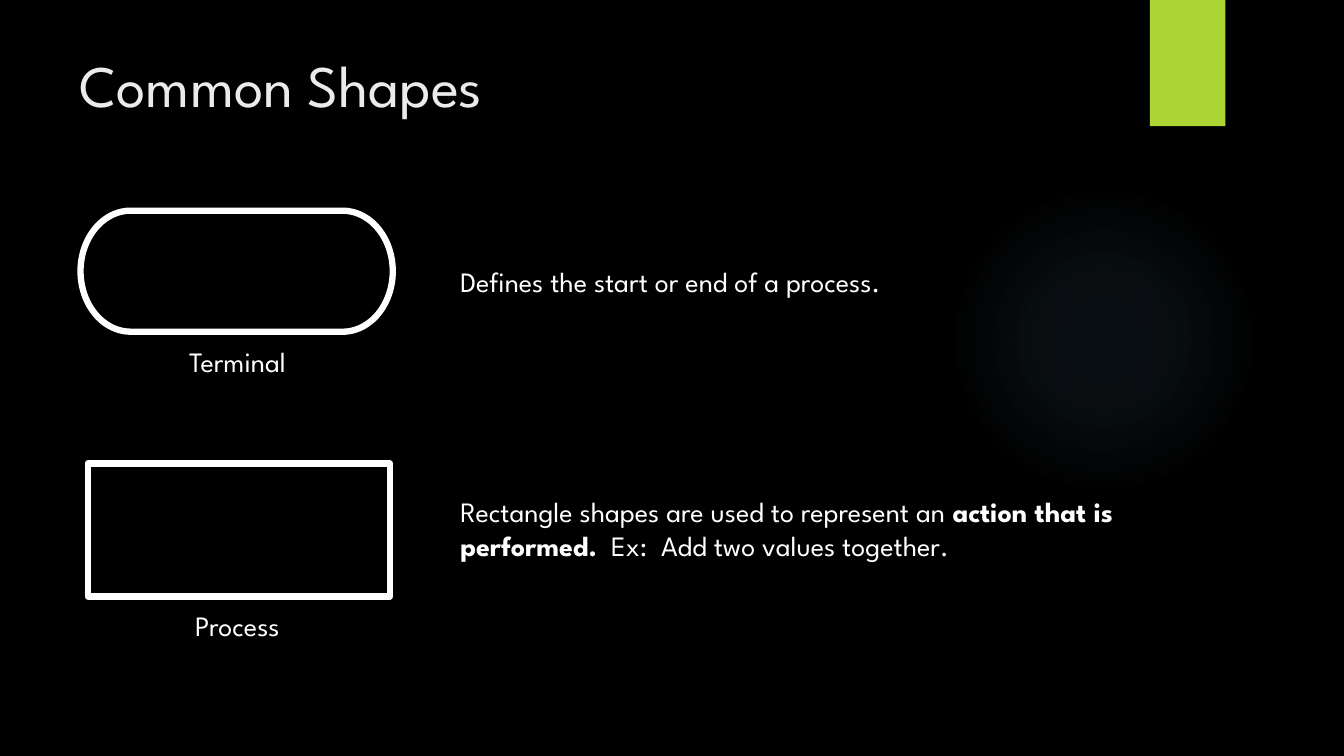
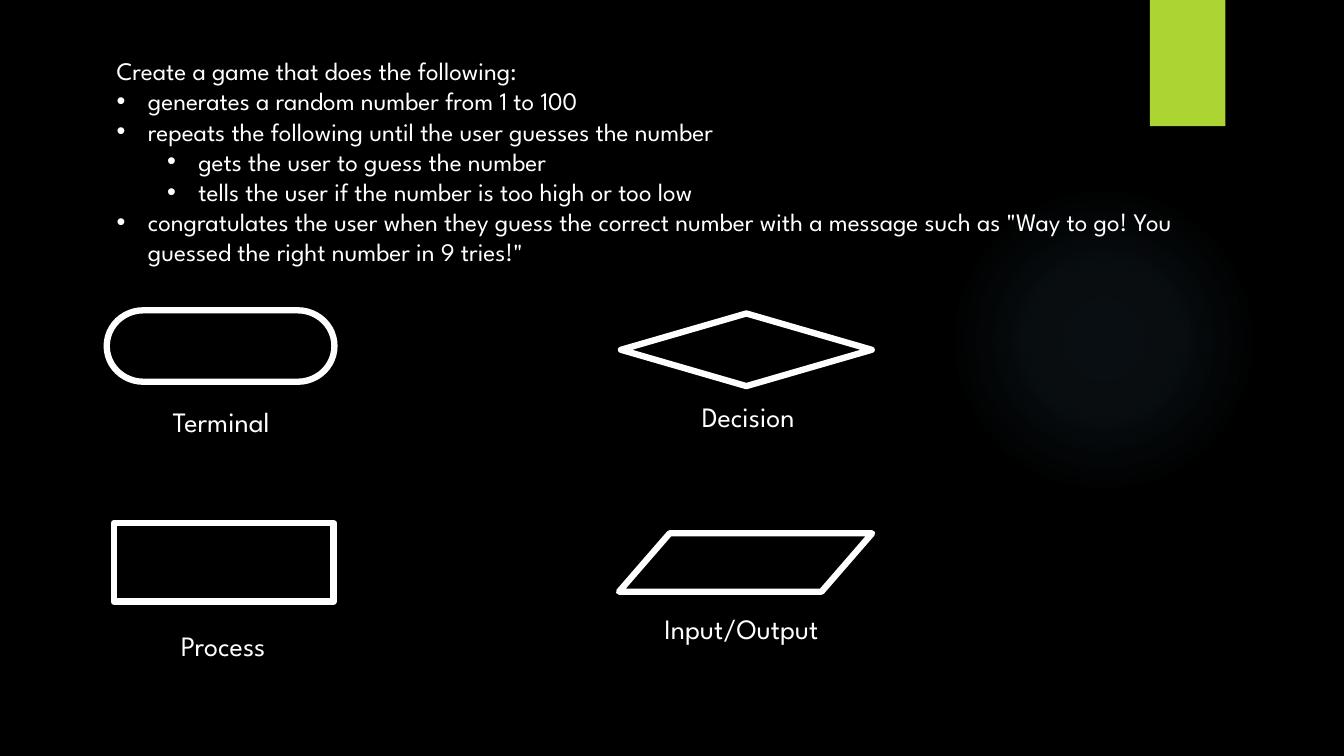
import dataclasses

import lxml.etree
import pptx
import pptx.dml.color
import pptx.enum.shapes
import pptx.enum.text
import pptx.oxml
import pptx.oxml.ns
import pptx.util

Cm = pptx.util.Cm
Pt = pptx.util.Pt
RGB = pptx.dml.color.RGBColor
SHAPE = pptx.enum.shapes.MSO_SHAPE
ALIGN = pptx.enum.text.PP_ALIGN


@dataclasses.dataclass(frozen=True)
class Theme:
    font: str = "League Spartan"
    background: RGB = RGB(0x00, 0x00, 0x00)
    title: RGB = RGB(0xEB, 0xEB, 0xEB)
    text: RGB = RGB(0xFF, 0xFF, 0xFF)
    accent: RGB = RGB(0xAC, 0xD4, 0x33)
    glow: RGB = RGB(0x7A, 0xC4, 0xF0)
    title_size: Pt = Pt(42)
    body_size: Pt = Pt(20)
    task_size: Pt = Pt(18)
    outline: Pt = Pt(4.5)
    space_before: Pt = Pt(10)


theme = Theme()


def add_run(paragraph, text, size, color=theme.text, bold=False):
    run = paragraph.add_run()
    run.text = text
    run.font.name = theme.font
    run.font.size = size
    run.font.color.rgb = color
    run.font.bold = bold


def add_text_frame(slide, box):
    """Add a wrapping text box at box (left, top, width, height in cm)."""
    frame = slide.shapes.add_textbox(*map(Cm, box)).text_frame
    frame.word_wrap = True
    return frame


deck = pptx.Presentation()
deck.slide_width, deck.slide_height = Cm(33.87), Cm(19.05)
title_only, blank = deck.slide_layouts[5], deck.slide_layouts[6]
shapes_slide = deck.slides.add_slide(title_only)
task_slide = deck.slides.add_slide(blank)

# Shared background, glow and tab, moved to the master behind everything else
master = deck.slide_master
master.background.fill.solid()
master.background.fill.fore_color.rgb = theme.background

glow = shapes_slide.shapes.add_shape(
    SHAPE.OVAL, Cm(23.9), Cm(4.65), Cm(7.82), Cm(7.82))
tab = shapes_slide.shapes.add_shape(
    SHAPE.RECTANGLE, Cm(28.98), Cm(0), Cm(1.9), Cm(3.18))
tab.fill.solid()
tab.fill.fore_color.rgb = theme.accent

stops = "".join(
    f'<a:gs pos="{position * 1000}"><a:srgbClr val="{theme.glow}">'
    f'<a:alpha val="{opacity * 1000}"/></a:srgbClr></a:gs>'
    for position, opacity in [(0, 7), (36, 6), (69, 0)])
gradient = pptx.oxml.parse_xml(
    f'<a:gradFill {pptx.oxml.ns.nsdecls("a")} rotWithShape="1">'
    f'<a:gsLst>{stops}</a:gsLst><a:path path="circle">'
    '<a:fillToRect l="50000" t="50000" r="50000" b="50000"/></a:path></a:gradFill>')
glow.element.spPr.find(pptx.oxml.ns.qn("a:prstGeom")).addnext(gradient)

for index, decoration in enumerate([glow, tab]):
    decoration.line.fill.background()
    decoration.shadow.inherit = False
    master.shapes.element.insert(2 + index, decoration.element)

# Title
title = shapes_slide.shapes.title
title.left, title.top, title.width, title.height = map(Cm, (1.75, 1.09, 26.14, 3.89))
title.text_frame.auto_size = pptx.enum.text.MSO_AUTO_SIZE.NONE
title.text_frame.vertical_anchor = pptx.enum.text.MSO_ANCHOR.TOP
heading = title.text_frame.paragraphs[0]
heading.alignment = ALIGN.LEFT
add_run(heading, "Common Shapes", theme.title_size, theme.title)

# Descriptions of the common shapes: top, then runs of text and weight
descriptions = [
    (6.53, [("Defines the start or end of a process.", False)]),
    (12.34, [("Rectangle shapes are used to represent an ", False),
             ("action that is performed.", True),
             ("  Ex:  Add two values together.", False)]),
]
for top, parts in descriptions:
    description = add_text_frame(shapes_slide, (11.35, top, 20.17, 3.61)).paragraphs[0]
    description.space_before = theme.space_before
    for text, bold in parts:
        add_run(description, text, theme.body_size, bold=bold)

# Task: text and bullet level, None for the introduction
task = [
    ("Create a game that does the following:", None),
    ("generates a random number from 1 to 100", 0),
    ("repeats the following until the user guesses the number", 0),
    ("gets the user to guess the number", 1),
    ("tells the user if the number is too high or too low", 1),
    ("congratulates the user when they guess the correct number with a message "
     'such as "Way to go! You guessed the right number in 9 tries!"', 0),
]
hanging, level_step = Cm(0.79), Cm(1.27)
task_frame = add_text_frame(task_slide, (2.69, 1.27, 27.43, 6.4))
for index, (text, level) in enumerate(task):
    step = task_frame.add_paragraph() if index else task_frame.paragraphs[0]
    add_run(step, text, theme.task_size)
    if level is not None:
        step.level = level
        properties = step._p.get_or_add_pPr()
        properties.set("marL", str(hanging + level * level_step))
        properties.set("indent", str(-hanging))
        bullet_font = lxml.etree.SubElement(properties, pptx.oxml.ns.qn("a:buFont"))
        bullet_font.set("typeface", "Arial")
        bullet = lxml.etree.SubElement(properties, pptx.oxml.ns.qn("a:buChar"))
        bullet.set("char", "•")

# Flowchart symbols: slide, label, outline, symbol box, label box
symbols = [
    (shapes_slide, "Terminal", SHAPE.FLOWCHART_TERMINATOR,
     (2.03, 5.31, 7.87, 3.05), (2.11, 8.56, 7.75, 2.87)),
    (shapes_slide, "Process", SHAPE.RECTANGLE,
     (2.21, 11.68, 7.62, 3.35), (2.11, 15.21, 7.75, 2.87)),
    (task_slide, "Terminal", SHAPE.FLOWCHART_TERMINATOR,
     (2.69, 7.82, 5.74, 1.8), (2.77, 10.06, 5.61, 1.7)),
    (task_slide, "Decision", SHAPE.FLOWCHART_DECISION,
     (15.65, 7.9, 6.32, 1.83), (15.77, 9.93, 6.17, 1.57)),
    (task_slide, "Process", SHAPE.RECTANGLE,
     (2.87, 13.18, 5.54, 1.98), (2.82, 15.72, 5.61, 1.7)),
    (task_slide, "Input/Output", SHAPE.FLOWCHART_DATA,
     (15.6, 13.44, 6.38, 1.47), (15.6, 15.29, 6.17, 1.57)),
]
for slide, name, outline, symbol_box, label_box in symbols:
    symbol = slide.shapes.add_shape(outline, *map(Cm, symbol_box))
    symbol.shadow.inherit = False
    symbol.fill.background()
    symbol.line.color.rgb = theme.text
    symbol.line.width = theme.outline
    lxml.etree.SubElement(symbol.line._get_or_add_ln(), pptx.oxml.ns.qn("a:round"))

    label = add_text_frame(slide, label_box).paragraphs[0]
    label.alignment = ALIGN.CENTER
    label.space_before = theme.space_before
    add_run(label, name, theme.body_size)

deck.save("out.pptx")
